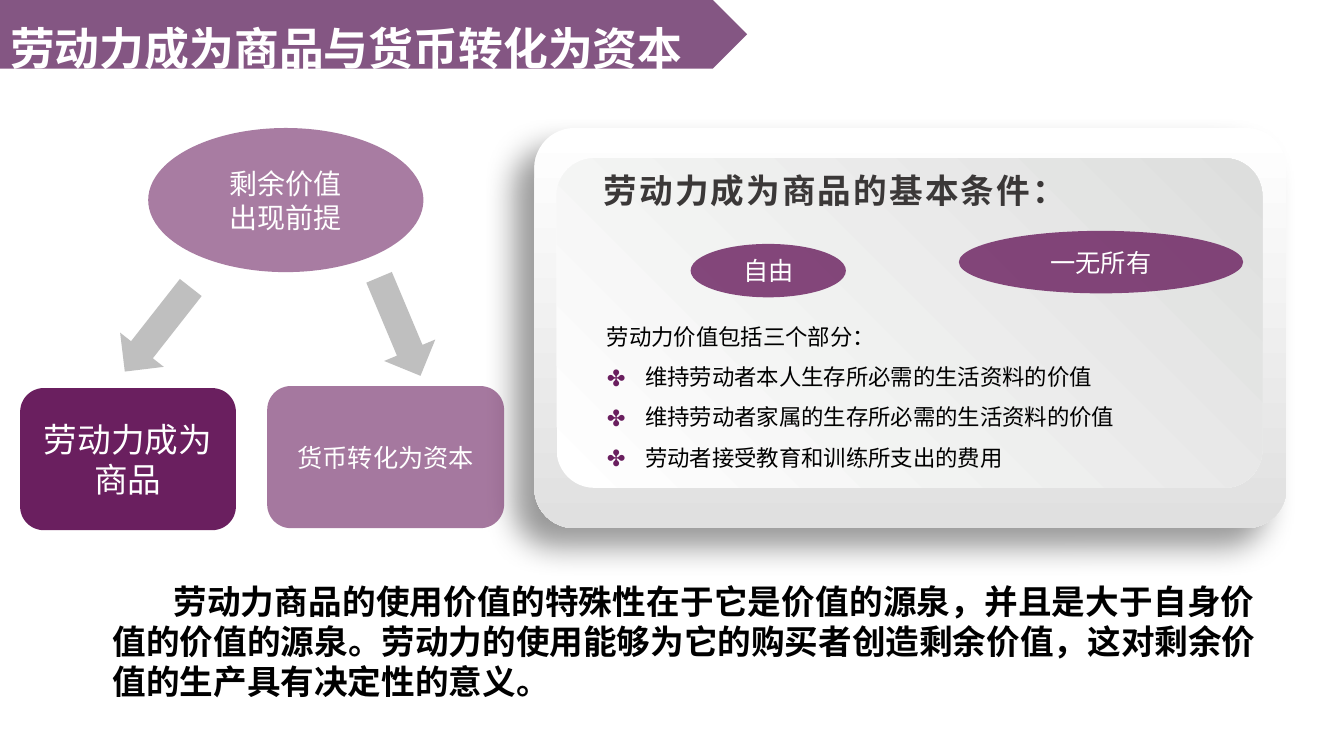
from lxml.etree import SubElement
from pptx import Presentation
from pptx.dml.color import RGBColor
from pptx.enum.shapes import MSO_SHAPE
from pptx.enum.text import MSO_ANCHOR, MSO_AUTO_SIZE, PP_ALIGN
from pptx.oxml.ns import qn
from pptx.util import Inches, Pt

FONT = "Noto Sans CJK SC"
PLUM = RGBColor(0x6A, 0x1F, 0x5F)
BANNER = RGBColor(0x5A, 0x1B, 0x58)
ARROW_GREY = RGBColor(0xBF, 0xBF, 0xBF)
FRAME_GREY = RGBColor(0xE0, 0xE0, 0xE0)
PANEL_GREY = RGBColor(0xDD, 0xDE, 0xDD)
HEADING = RGBColor(0x3B, 0x38, 0x38)
WHITE = RGBColor(0xFF, 0xFF, 0xFF)
BLACK = RGBColor(0x00, 0x00, 0x00)

VALUE_PARTS = [
    "维持劳动者本人生存所必需的生活资料的价值",
    "维持劳动者家属的生存所必需的生活资料的价值",
    "劳动者接受教育和训练所支出的费用",
]


def set_values(target, values):
    for name, value in values.items():
        setattr(target, name, value)


def place(shape, box):
    names = ("left", "top", "width", "height")
    set_values(shape, dict(zip(names, map(Inches, box))))


def style_run(run, size, color, bold=False, spacing=0):
    set_values(run.font, {"name": FONT, "size": Pt(size), "bold": bold})
    run.font.color.rgb = color
    properties = run.font._element
    SubElement(properties, qn("a:ea"), typeface=FONT)
    if spacing:
        properties.set("spc", str(spacing))


def write(shape, lines, size, color, bold=False, spacing=0, wrap=True,
          anchor=MSO_ANCHOR.MIDDLE, **paragraph_format):
    """Fill a shape with equally formatted paragraphs and return them."""
    frame = shape.text_frame
    set_values(frame, {"word_wrap": wrap, "auto_size": MSO_AUTO_SIZE.NONE,
                       "vertical_anchor": anchor})
    frame.text = "\n".join(lines)
    for paragraph in frame.paragraphs:
        set_values(paragraph, {"space_before": Pt(0), **paragraph_format})
        style_run(paragraph.runs[0], size, color, bold, spacing)
    return frame.paragraphs


def set_indent(paragraph, left, first_line, bullet=None):
    properties = paragraph._p.get_or_add_pPr()
    properties.set("marL", str(Inches(left)))
    properties.set("indent", str(Inches(first_line)))
    if bullet:
        color = SubElement(properties, qn("a:buClr"))
        SubElement(color, qn("a:srgbClr"), val=str(PLUM))
        SubElement(properties, qn("a:buFont"), typeface=FONT)
        SubElement(properties, qn("a:buChar"), char=bullet)
    else:
        SubElement(properties, qn("a:buNone"))


def add_plain_shape(slide, kind, box, corner=None):
    shape = slide.shapes.add_shape(kind, *map(Inches, box))
    shape.shadow.inherit = False
    shape.line.fill.background()
    if corner is not None:
        shape.adjustments[0] = corner
    return shape


def add_solid(slide, kind, box, color, opacity=100):
    shape = add_plain_shape(slide, kind, box)
    shape.fill.solid()
    shape.fill.fore_color.rgb = color
    if opacity < 100:
        value = shape._element.spPr.find(qn("a:solidFill")).find(qn("a:srgbClr"))
        SubElement(value, qn("a:alpha"), val=str(opacity * 1000))
    return shape


def add_gradient_panel(slide, box, corner, end_color, angle):
    panel = add_plain_shape(slide, MSO_SHAPE.ROUNDED_RECTANGLE, box, corner)
    panel.fill.gradient()
    panel.fill.gradient_angle = angle
    for stop, color, position in zip(panel.fill.gradient_stops, (WHITE, end_color), (0, 1)):
        stop.color.rgb = color
        stop.position = position
    return panel


def add_soft_shadow(shape):
    effects = shape._element.spPr.find(qn("a:effectLst"))
    shadow = SubElement(effects, qn("a:outerShdw"), blurRad=str(Pt(22)),
                        dist=str(Pt(20)), dir=str(135 * 60000),
                        algn="tr", rotWithShape="0")
    color = SubElement(shadow, qn("a:srgbClr"), val=str(BLACK))
    SubElement(color, qn("a:alpha"), val="40000")


def add_text(slide, box, text, size, color, **options):
    text_box = slide.shapes.add_textbox(*map(Inches, box))
    return write(text_box, [text], size, color, anchor=MSO_ANCHOR.TOP,
                 alignment=PP_ALIGN.JUSTIFY, **options)[0]


def bring_to_front(shape):
    shape.element.getparent().append(shape.element)


def add_title(slide):
    add_solid(slide, MSO_SHAPE.PENTAGON, (0, 0, 7.41, 0.68), BANNER, 74)
    title = slide.shapes.title
    place(title, (0, 0, 7.24, 0.68))
    write(title, ["劳动力成为商品与货币转化为资本"], 32, WHITE, bold=True,
          alignment=PP_ALIGN.JUSTIFY, line_spacing=1.5)
    bring_to_front(title)


def add_value_list(slide):
    body = slide.placeholders[1]
    place(body, (5.92, 3.02, 6.85, 1.67))
    intro, *parts = write(body, ["劳动力价值包括三个部分：", *VALUE_PARTS], 16, BLACK,
                          anchor=MSO_ANCHOR.TOP, line_spacing=1.5)
    set_indent(intro, 0, 0)
    for part in parts:
        set_indent(part, 0.38, -0.38, "✤")
    bring_to_front(body)


def main():
    presentation = Presentation()
    presentation.slide_width = Inches(13.33)
    presentation.slide_height = Inches(7.5)
    slide = presentation.slides.add_slide(presentation.slide_layouts[1])
    for placeholder in list(slide.placeholders):
        if placeholder.placeholder_format.idx > 1:
            placeholder.element.getparent().remove(placeholder.element)

    # Conditions panel
    frame = add_gradient_panel(slide, (5.3, 1.27, 7.46, 3.97), 0.1, FRAME_GREY, 270)
    add_soft_shadow(frame)
    add_gradient_panel(slide, (5.52, 1.57, 7, 3.27), 0.115, PANEL_GREY, 45)
    add_text(slide, (5.89, 1.64, 4.45, 0.5), "劳动力成为商品的基本条件：", 24, HEADING,
             bold=True, spacing=150, wrap=False)

    add_title(slide)

    # Labelled ovals and boxes: kind, position, opacity, lines, text size
    oval, rounded = MSO_SHAPE.OVAL, MSO_SHAPE.ROUNDED_RECTANGLE
    for kind, box, opacity, lines, size in [
        (oval, (6.85, 2.42, 1.54, 0.53), 81, ["自由"], 18),
        (oval, (9.51, 2.29, 2.82, 0.62), 81, ["一无所有"], 18),
        (oval, (1.47, 1.27, 2.73, 1.43), 58, ["剩余价值", "出现前提"], 20),
        (rounded, (0.2, 3.85, 2.14, 1.41), 100, ["劳动力成为商品"], 24),
        (rounded, (2.65, 3.83, 2.35, 1.41), 60, ["货币转化为资本"], 18),
    ]:
        label = add_solid(slide, kind, box, PLUM, opacity)
        write(label, lines, size, WHITE, alignment=PP_ALIGN.CENTER)

    add_value_list(slide)

    # Arrows from the premise to its two results
    for left, top, rotation in [(1.29, 2.74, 38.1), (3.69, 2.71, 337.2)]:
        arrow = add_solid(slide, MSO_SHAPE.DOWN_ARROW, (left, top, 0.55, 1.06), ARROW_GREY)
        arrow.rotation = rotation

    # Conclusion
    conclusion = add_text(
        slide, (1.02, 5.71, 11.53, 1.31),
        "劳动力商品的使用价值的特殊性在于它是价值的源泉，并且是大于自身价值的价值的源泉。"
        "劳动力的使用能够为它的购买者创造剩余价值，这对剩余价值的生产具有决定性的意义。",
        24, BLACK, bold=True)
    set_indent(conclusion, 0, 0.6)

    presentation.save("out.pptx")


if __name__ == "__main__":
    main()
